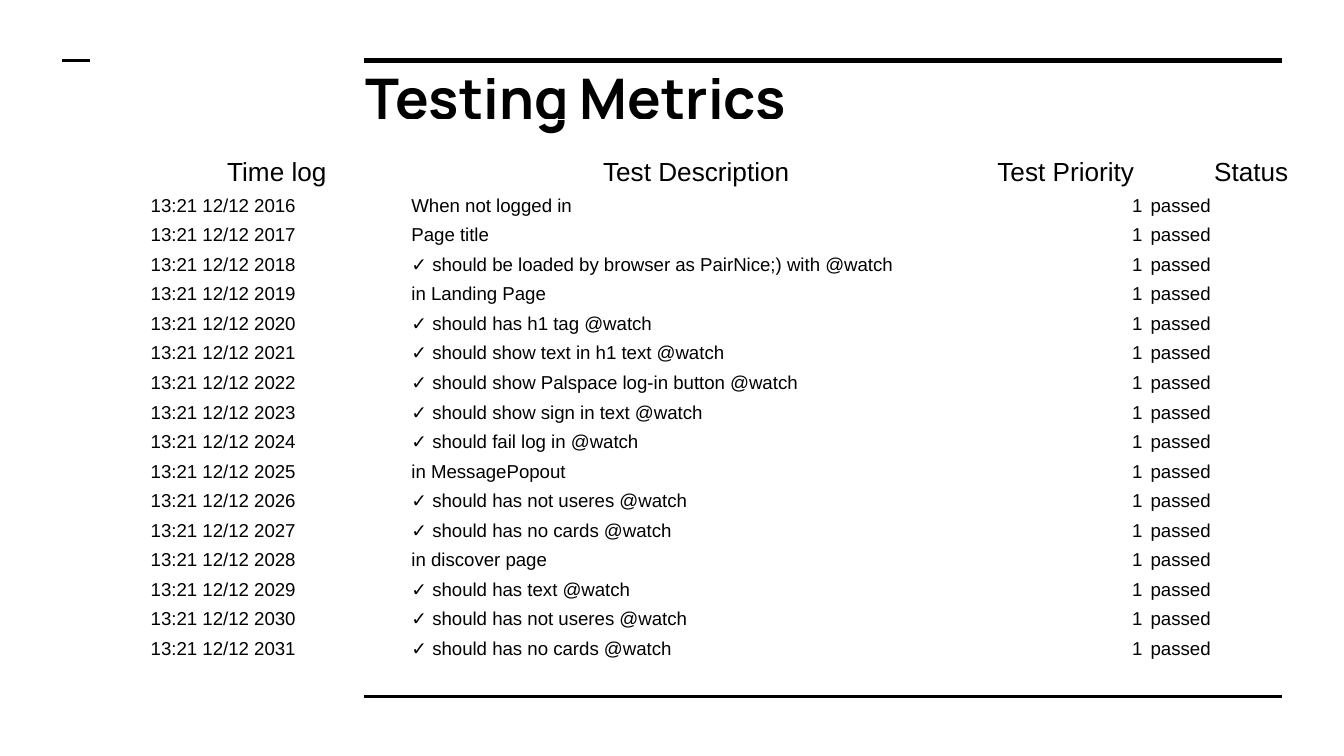
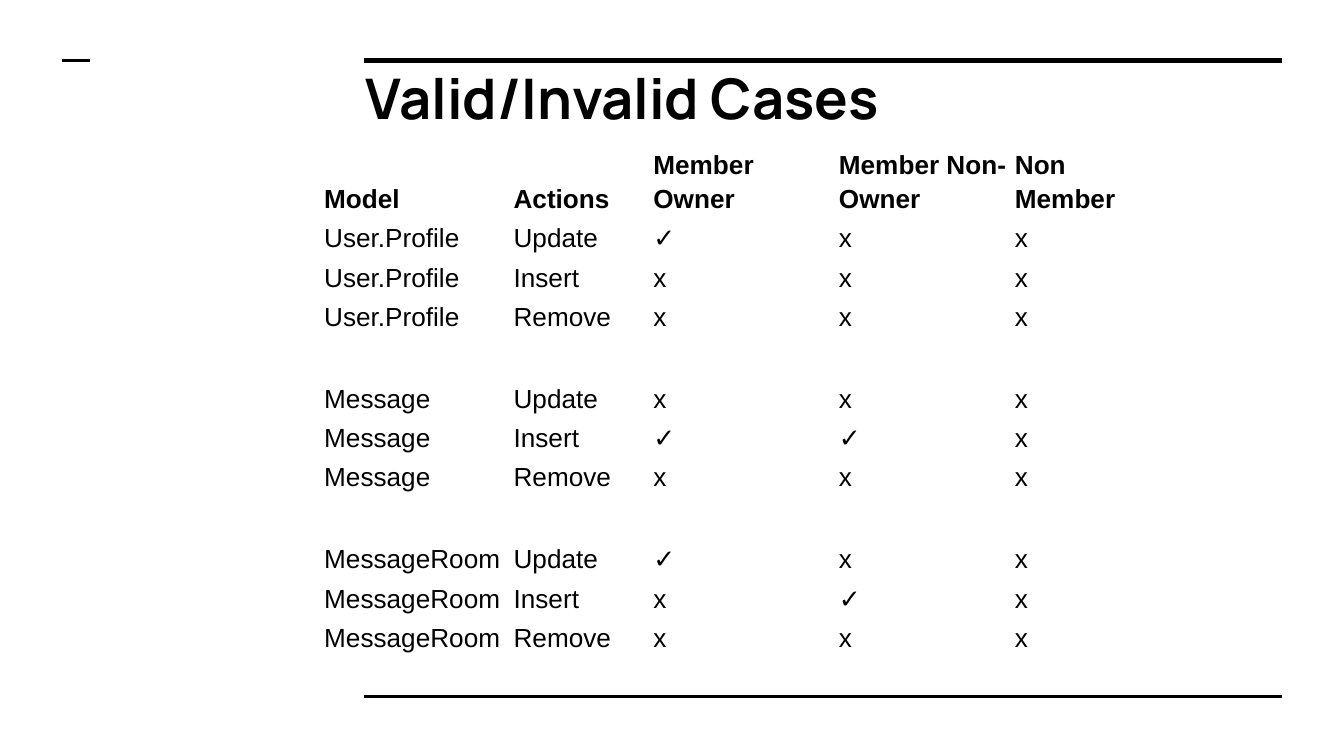
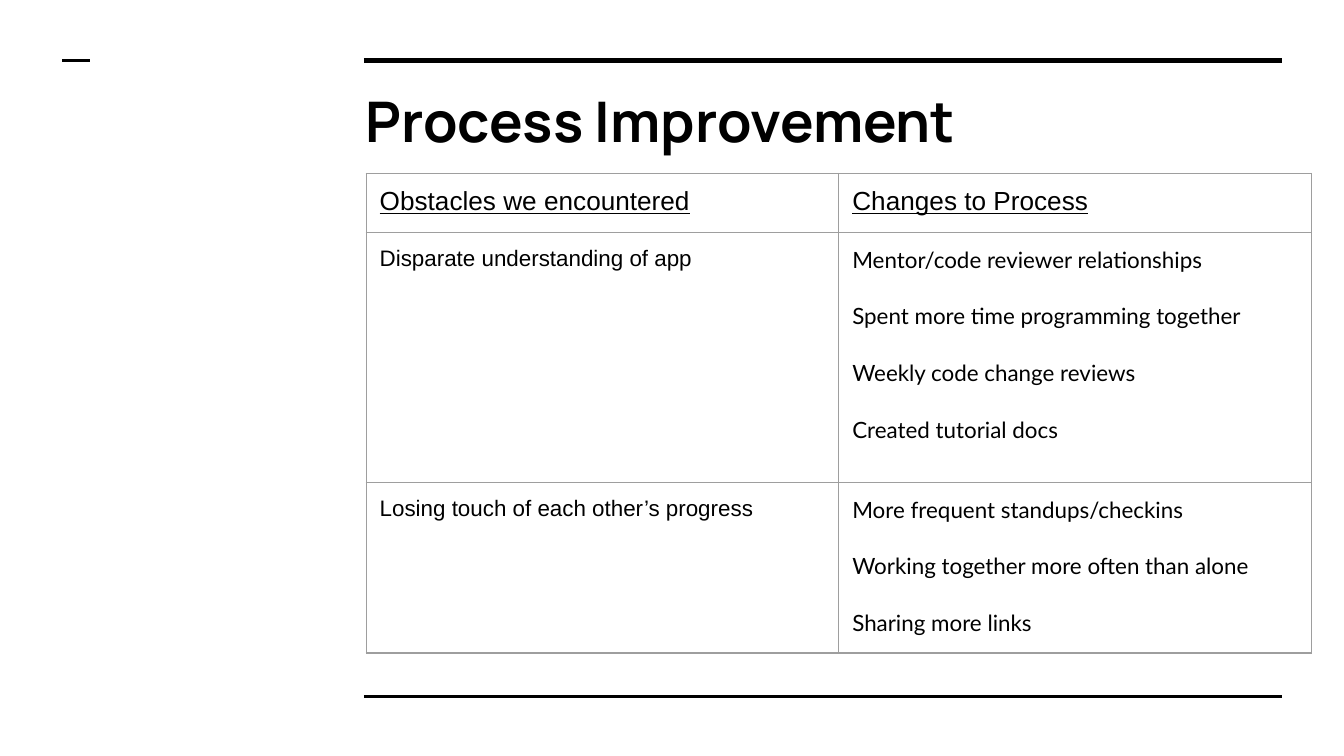
from dataclasses import dataclass

from lxml.etree import SubElement
from pptx import Presentation
from pptx.dml.color import RGBColor
from pptx.enum.shapes import MSO_CONNECTOR
from pptx.enum.text import MSO_ANCHOR, MSO_AUTO_SIZE, PP_ALIGN
from pptx.oxml.ns import qn
from pptx.util import Pt


@dataclass(frozen=True)
class Theme:
    ink: str = "000000"
    paper: str = "FFFFFF"
    grid: str = "9E9E9E"
    head: str = "Manrope"
    body: str = "Arial"
    note: str = "Lato"
    title: int = 30
    large: int = 14
    mid: int = 12
    small: int = 10


THEME = Theme()
TIGHT = (2.25, 1.5)
WIDE = (7.2, 7.2)


def write(frame, text, size, font=THEME.body, bold=False, line=False,
          align=PP_ALIGN.LEFT, lead=None, after=None):
    for i, part in enumerate(text.split("\n")):
        para = frame.add_paragraph() if i else frame.paragraphs[0]
        para.alignment = align
        if lead:
            para.line_spacing = lead
        if after:
            para.space_after = Pt(after)
        run = para.add_run()
        run.text = part
        face = run.font
        face.name, face.size = font, Pt(size)
        face.bold, face.underline = bold, line
        face.color.rgb = RGBColor.from_string(THEME.ink)


def inset(item, pad):
    item.margin_left = item.margin_right = Pt(pad[0])
    item.margin_top = item.margin_bottom = Pt(pad[1])


def border(cell):
    props = cell._tc.get_or_add_tcPr()
    for side in ("lnL", "lnR", "lnT", "lnB"):
        edge = SubElement(props, qn(f"a:{side}"), w=str(Pt(0.75)))
        fill = SubElement(edge, qn("a:solidFill"))
        SubElement(fill, qn("a:srgbClr"), val=THEME.grid)


class Deck:
    def __init__(self):
        self.file = Presentation()
        self.file.slide_width, self.file.slide_height = Pt(720), Pt(405)
        self.layout = self.file.slide_layouts[5]
        self.slide = None

    def page(self, title, top):
        first = self.slide is None
        self.slide = self.file.slides.add_slide(self.layout)
        if first:
            back = self.layout.background.fill
            back.solid()
            back.fore_color.rgb = RGBColor.from_string(THEME.paper)
            self.rule(195, 687, 32.5, 3)
            self.rule(195, 687, 373, 1.5)
            self.rule(33.5, 48, 32.5, 1.5)
        box = self.slide.shapes.title
        box.left, box.top, box.width, box.height = Pt(188.8), Pt(top), Pt(497.5), Pt(49.7)
        frame = box.text_frame
        frame.word_wrap = True
        frame.auto_size = MSO_AUTO_SIZE.NONE
        frame.vertical_anchor = MSO_ANCHOR.MIDDLE
        inset(frame, WIDE)
        write(frame, title, THEME.title, THEME.head, bold=True)

    def rule(self, left, right, y, width):
        line = self.slide.shapes.add_connector(
            MSO_CONNECTOR.STRAIGHT, Pt(left), Pt(y), Pt(right), Pt(y))
        line.line.color.rgb = RGBColor.from_string(THEME.ink)
        line.line.width = Pt(width)
        SubElement(line._element.spPr, qn("a:effectLst"))
        self.layout.shapes._spTree.append(line._element)

    def table(self, left, top, cols, highs, rows, style, pad=TIGHT,
              anchor=MSO_ANCHOR.BOTTOM, lined=False):
        grid = self.slide.shapes.add_table(
            len(rows), len(cols), Pt(left), Pt(top), Pt(sum(cols)), Pt(sum(highs))).table
        grid.first_row = grid.horz_banding = False
        for col, width in zip(grid.columns, cols):
            col.width = Pt(width)
        for r, (row, high) in enumerate(zip(rows, highs)):
            grid.rows[r].height = Pt(high)
            for c, text in enumerate(row):
                cell = grid.cell(r, c)
                if lined:
                    border(cell)
                cell.fill.background()
                cell.vertical_anchor = anchor
                inset(cell, pad)
                if text:
                    write(cell.text_frame, text, **style(r, c))
                else:
                    para = cell.text_frame.paragraphs[0]._p
                    SubElement(para, qn("a:endParaRPr"), sz=str(THEME.small * 100))


def log_style(r, c):
    if r == 0:
        return dict(size=THEME.large, align=PP_ALIGN.CENTER, lead=1.15)
    side = PP_ALIGN.RIGHT if c == 2 else PP_ALIGN.LEFT
    return dict(size=THEME.small, align=side, lead=1.15)


def case_style(r, c):
    return dict(size=THEME.large, bold=r == 0, lead=1.15)


def change_style(r, c):
    if r == 0:
        return dict(size=THEME.large, line=True)
    if c == 0:
        return dict(size=THEME.mid)
    return dict(size=THEME.mid, font=THEME.note, after=16)


TESTS = [
    "When not logged in",
    "Page title",
    "✓ should be loaded by browser as PairNice;) with @watch",
    "in Landing Page",
    "✓ should has h1 tag @watch",
    "✓ should show text in h1 text @watch",
    "✓ should show Palspace log-in button @watch",
    "✓ should show sign in text @watch",
    "✓ should fail log in @watch",
    "in MessagePopout",
    "✓ should has not useres @watch",
    "✓ should has no cards @watch",
    "in discover page",
    "✓ should has text @watch",
    "✓ should has not useres @watch",
    "✓ should has no cards @watch",
]

RIGHTS = [
    ("User.Profile", ("✓xx", "xxx", "xxx")),
    ("Message", ("xxx", "✓✓x", "xxx")),
    ("MessageRoom", ("✓xx", "x✓x", "xxx")),
]

CHANGES = [
    ("Obstacles we encountered", "Changes to Process"),
    ("Disparate understanding of app",
     "Mentor/code reviewer relationships\nSpent more time programming together\n"
     "Weekly code change reviews\nCreated tutorial docs"),
    ("Losing touch of each other’s progress",
     "More frequent standups/checkins\nWorking together more often than alone\n"
     "Sharing more links"),
]


def main():
    deck = Deck()

    deck.page("Testing Metrics", 27.4)
    log = [("Time log", "Test Description", "Test Priority", "Status")]
    log += [(f"13:21 12/12 {year}", test, "1", "passed")
            for year, test in enumerate(TESTS, 2016)]
    deck.table(78.5, 64.1, (139.7, 309.6, 86.4, 112.3),
               [37.5] + [15] * len(TESTS), log, log_style)

    deck.page("Valid/Invalid Cases", 27.4)
    cases = [("Model", "Actions", "Member Owner", "Member Non-Owner", "Non Member")]
    highs = [35]
    for model, marks in RIGHTS:
        if len(cases) > 1:
            cases.append([""] * 5)
            highs.append(22.8)
        for act, mark in zip(("Update", "Insert", "Remove"), marks):
            cases.append((model, act, *mark))
            highs.append(20)
    deck.table(171.4, 77, (101.5, 74.9, 99.4, 94.3, 74.9), highs, cases, case_style)

    deck.page("Process Improvement", 39.6)
    deck.table(196.2, 92.9, (253.2, 253.2), (31.7, 133.9, 91.4), CHANGES, change_style,
               pad=WIDE, anchor=MSO_ANCHOR.TOP, lined=True)

    deck.file.save("out.pptx")


if __name__ == "__main__":
    main()
